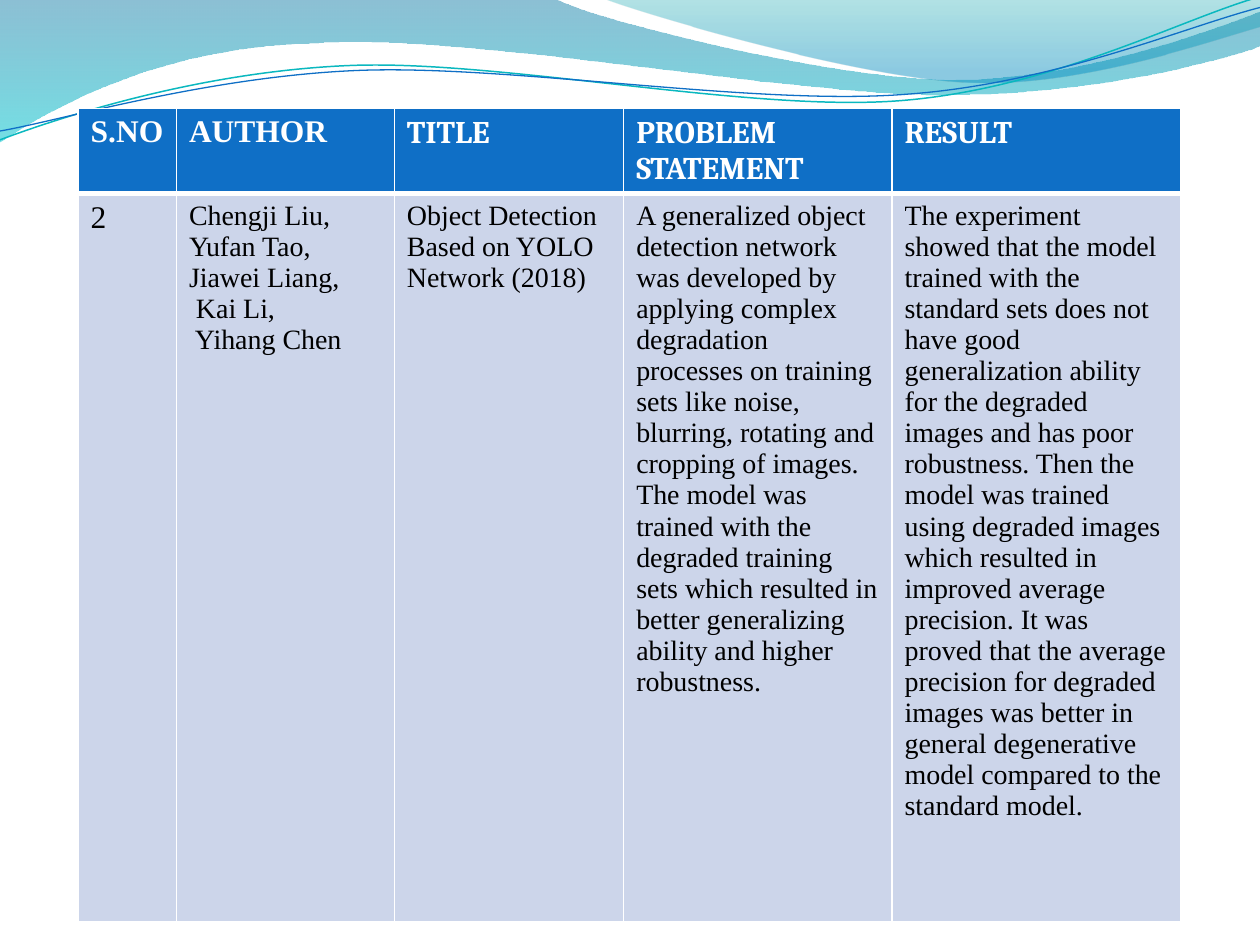
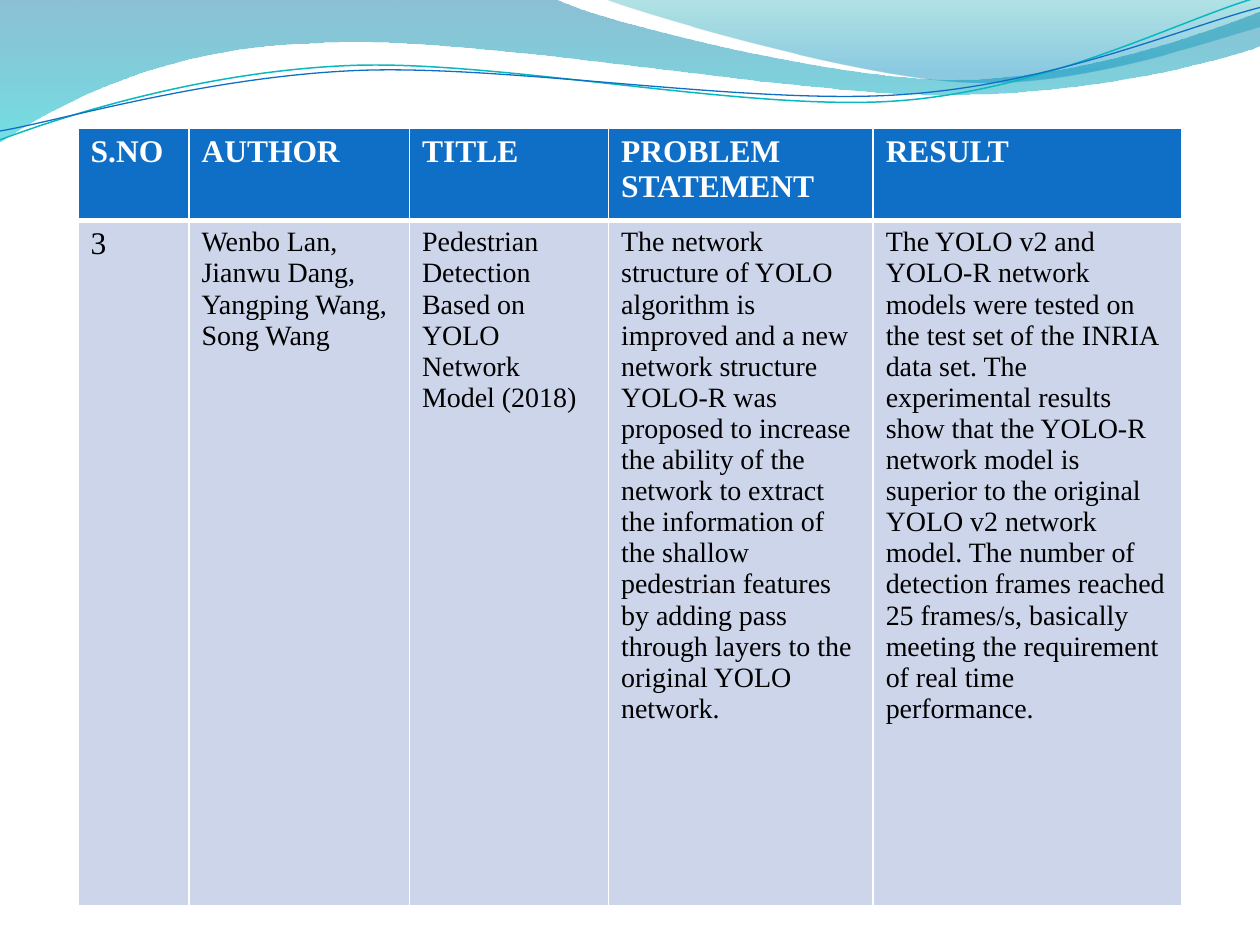
"""Build two literature-survey slides: a wave banner above a one-entry table."""
from dataclasses import dataclass
from math import cos, radians, sin

from lxml import etree
from pptx import Presentation
from pptx.dml.color import RGBColor
from pptx.oxml.ns import qn
from pptx.util import Inches, Pt


@dataclass(frozen=True)
class Theme:
    blue: str = "0F6FC6"
    teal: str = "0AB8BF"
    pale: str = "CCD5EA"
    white: str = "FFFFFF"
    black: str = "000000"
    font: str = "Times New Roman"
    heading_size: int = 18
    body_size: int = 16
    rule: int = 1
    heavy_rule: int = 3


THEME = Theme()
BLANK_LAYOUT = 6
GRID_COLUMNS = 10
TABLE_LEFT = 0.62
STRAND_TILT = -2.7
HEADINGS = ["S.NO", "AUTHOR", "TITLE", "PROBLEM STATEMENT", "RESULT"]

BANDS = [
    {
        "start": (0, 0),
        "segments": [
            [(4.4, -0.01)],
            [(4.76, 0.17), (6.64, 0.63), (7.58, 0.63)],
            [(8.53, 0.63), (9.58, 0.26), (10, 0.09)],
            [(10.01, 0.36)],
            [(9.83, 0.44), (8.7, 0.76), (7.46, 0.75)],
            [(6.22, 0.75), (3.82, 0.28), (2.57, 0.34)],
            [(1.29, 0.36), (0.46, 0.83), (-0.01, 1.13)],
            [(0, 0)],
        ],
        "stops": [(0, "0074A1", 45), (1, "00C6CF", 55)],
    },
    {
        "start": (4.79, -0.01),
        "segments": [
            [(5.09, 0.11), (6.82, 0.62), (7.69, 0.65)],
            [(8.56, 0.69), (9.61, 0.32), (10, 0.21)],
            [(10, 0)],
            [(4.79, -0.01)],
        ],
        "stops": [(0, "00A1A9", 30), (0.8, "008BBF", 45)],
    },
]
STRANDS = [
    {
        "start": (0, 1.11),
        "segments": [
            [(0.48, 0.93), (1.58, 0.57), (2.77, 0.52)],
            [(3.95, 0.47), (5.93, 0.89), (7.13, 0.8)],
            [(8.33, 0.71), (9.38, 0.15), (9.98, -0.02)],
        ],
        "center": (4.99, 0.57),
        "line": (THEME.teal, 0.85),
    },
    {
        "start": (0, 1.04),
        "segments": [
            [(0.47, 0.96), (1.64, 0.61), (2.83, 0.56)],
            [(4.03, 0.51), (5.97, 0.84), (7.17, 0.75)],
            [(8.36, 0.67), (9.41, 0.21), (10, 0.06)],
        ],
        "center": (5, 0.59),
        "line": (THEME.blue, 0.75),
    },
]
SURVEY = [
    {
        "top": 0.86,
        "columns": [0.78, 1.73, 1.82, 2.13, 2.29],
        "rows": [0.55, 5.78],
        "heading_fonts": [THEME.font] * 2 + ["Cambria"] * 3,
        "entry": [
            "2",
            "Chengji Liu,\nYufan Tao,\nJiawei Liang,\n Kai Li,\n Yihang Chen",
            "Object Detection Based on YOLO Network (2018)",
            "A generalized object detection network was developed by applying "
            "complex degradation processes on training sets like noise, blurring, "
            "rotating and cropping of images. The model was trained with the "
            "degraded training sets which resulted in better generalizing ability "
            "and higher robustness.",
            "The experiment showed that the model trained with the standard sets "
            "does not have good generalization ability for the degraded images and "
            "has poor robustness. Then the model was trained using degraded images "
            "which resulted in improved average precision. It was proved that the "
            "average precision for degraded images was better in general "
            "degenerative model compared to the standard model.",
        ],
    },
    {
        "top": 1.02,
        "columns": [0.88, 1.75, 1.58, 2.1, 2.45],
        "rows": [0.73, 5.44],
        "heading_fonts": [THEME.font] * 5,
        "entry": [
            "3",
            "Wenbo Lan, Jianwu Dang, Yangping Wang, Song Wang",
            "Pedestrian Detection Based on YOLO Network Model (2018)",
            "The network structure of YOLO algorithm is improved and a new network "
            "structure YOLO-R was proposed to increase the ability of the network "
            "to extract the information of the shallow pedestrian features by "
            "adding pass through layers to the original YOLO network.",
            "The YOLO v2 and YOLO-R network models were tested on the test set of "
            "the INRIA data set. The experimental results show that the YOLO-R "
            "network model is superior to the original YOLO v2 network model. The "
            "number of detection frames reached 25 frames/s, basically meeting the "
            "requirement of real time performance.",
        ],
    },
]


def draw_wave(shapes, start, segments, close, tilt=0, center=(0, 0)):
    """Draw a freeform of lines and cubic curves, laid level and then tilted."""
    cosine, sine = cos(radians(tilt)), sin(radians(tilt))
    corners = []
    for x, y in [start] + [point for segment in segments for point in segment]:
        across, down = x - center[0], y - center[1]
        level_x = center[0] + across * cosine + down * sine
        level_y = center[1] - across * sine + down * cosine
        corners.append((level_x * grid, level_y * grid))
    builder = shapes.build_freeform(*corners[0])
    builder.add_line_segments(corners[1:], close=close)
    wave = builder.convert_to_shape()
    line_steps = iter(list(wave.element.iter(qn("a:lnTo"))))
    for segment in segments:
        first, *others = [next(line_steps) for _ in segment]
        if others:
            first.tag = qn("a:cubicBezTo")
        for other in others:
            first.append(other[0])
            other.getparent().remove(other)
    wave.rotation = tilt
    wave.shadow.inherit = False
    return wave


def style_cell(cell, fill, color, font, size, bold, top_rule, bottom_rule):
    """Give a table cell its rules, fill and text format."""
    properties = cell._tc.get_or_add_tcPr()
    sides = {"lnL": THEME.rule, "lnR": THEME.rule, "lnT": top_rule, "lnB": bottom_rule}
    for side, width in sides.items():
        border = etree.SubElement(properties, qn(f"a:{side}"), w=str(Pt(width)))
        solid = etree.SubElement(border, qn("a:solidFill"))
        etree.SubElement(solid, qn("a:srgbClr"), val=THEME.white)
    cell.fill.solid()
    cell.fill.fore_color.rgb = RGBColor.from_string(fill)
    for paragraph in cell.text_frame.paragraphs:
        for run in paragraph.runs:
            run.font.name = font
            run.font.size = Pt(size)
            run.font.bold = bold
            run.font.color.rgb = RGBColor.from_string(color)


presentation = Presentation()
presentation.slide_width = Inches(10)
presentation.slide_height = Inches(7.5)
grid = presentation.slide_width // GRID_COLUMNS
layout = presentation.slide_layouts[BLANK_LAYOUT]
for placeholder in list(layout.placeholders):
    layout.shapes.element.remove(placeholder.element)
slides = [presentation.slides.add_slide(layout) for _ in SURVEY]

for band in BANDS:
    wave = draw_wave(slides[0].shapes, band["start"], band["segments"], True)
    wave.fill.gradient()
    wave.fill.gradient_angle = 270
    for stop, (position, color, _) in zip(wave.fill.gradient_stops, band["stops"]):
        stop.position = position
        stop.color.rgb = RGBColor.from_string(color)
    for color_element, (_, _, opacity) in zip(wave.element.iter(qn("a:srgbClr")), band["stops"]):
        etree.SubElement(color_element, qn("a:alpha"), val=str(opacity * 1000))
    wave.line.fill.background()
    layout.shapes.element.append(wave.element)

strand_group = slides[0].shapes.add_group_shape()
for strand in STRANDS:
    wave = draw_wave(strand_group.shapes, strand["start"], strand["segments"], False,
                     STRAND_TILT, strand["center"])
    wave.fill.background()
    color, width = strand["line"]
    wave.line.color.rgb = RGBColor.from_string(color)
    wave.line.width = Pt(width)
layout.shapes.element.append(strand_group.element)

for slide, paper in zip(slides, SURVEY):
    widths = [int(width * grid) for width in paper["columns"]]
    heights = [int(height * grid) for height in paper["rows"]]
    frame = slide.shapes.add_table(
        len(heights), len(widths), int(TABLE_LEFT * grid), int(paper["top"] * grid),
        sum(widths), sum(heights)
    )
    table = frame.table
    for row, height in zip(table.rows, heights):
        row.height = height
    for index, width in enumerate(widths):
        table.columns[index].width = width
        heading, entry = table.cell(0, index), table.cell(1, index)
        heading.text_frame.text = HEADINGS[index]
        entry.text_frame.text = paper["entry"][index]
        entry_size = THEME.body_size if index else THEME.heading_size
        style_cell(heading, THEME.blue, THEME.white, paper["heading_fonts"][index],
                   THEME.heading_size, True, THEME.rule, THEME.heavy_rule)
        style_cell(entry, THEME.pale, THEME.black, THEME.font,
                   entry_size, False, THEME.heavy_rule, THEME.rule)

presentation.save("out.pptx")
